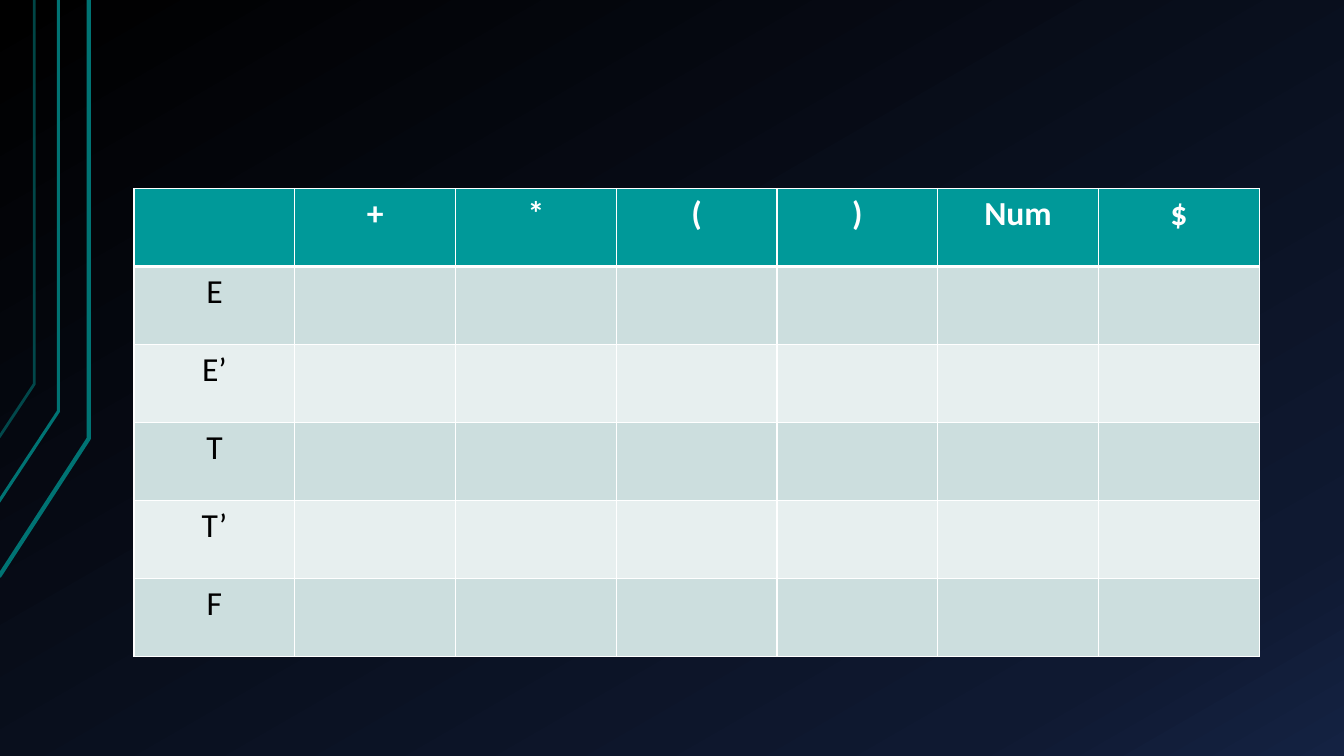
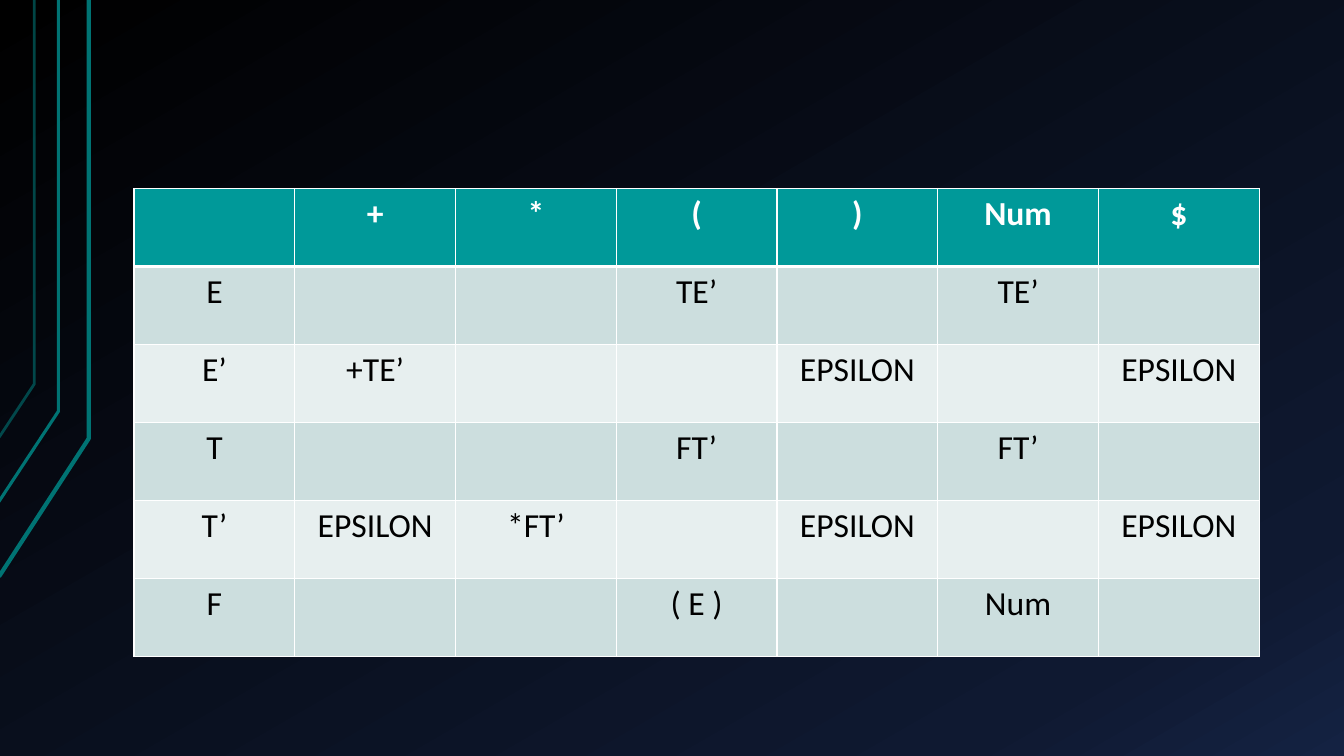
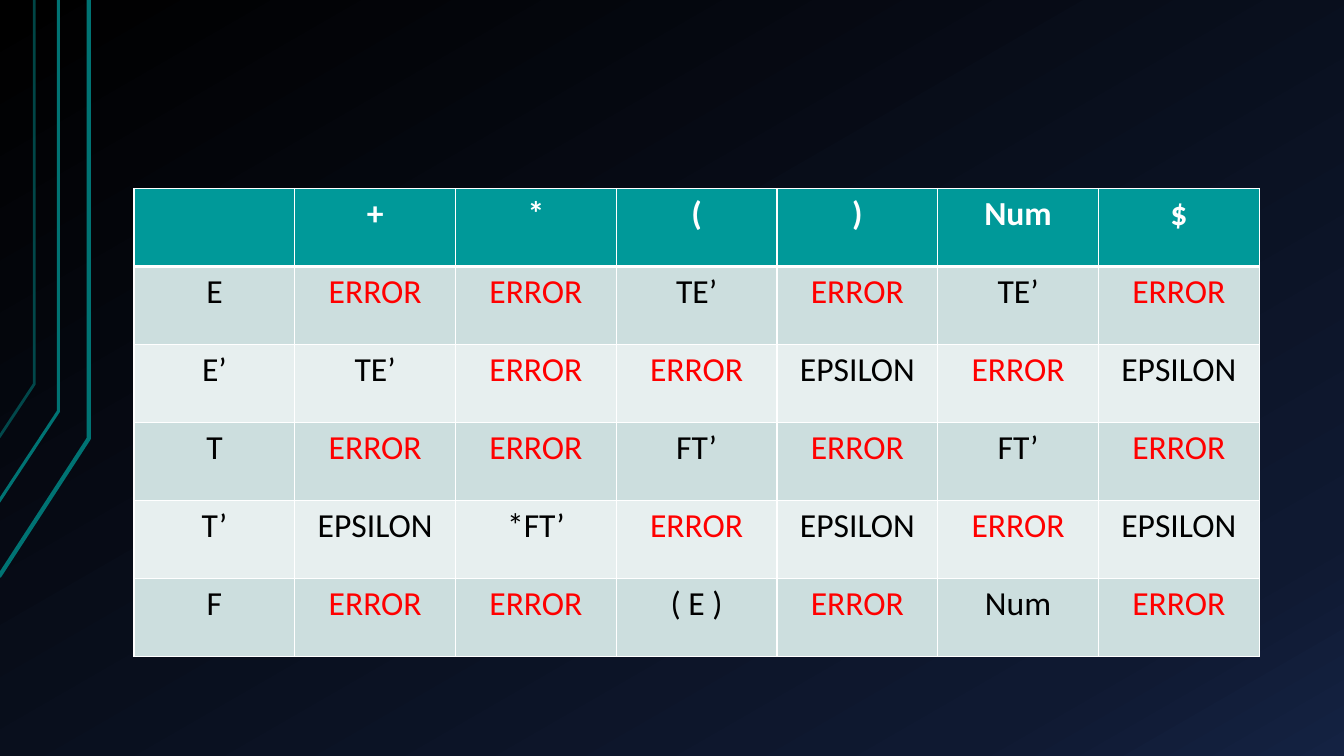
from copy import deepcopy
from dataclasses import dataclass

from lxml import etree
from pptx import Presentation
from pptx.dml.color import RGBColor
from pptx.enum.text import PP_ALIGN
from pptx.oxml.ns import qn
from pptx.util import Inches, Pt

CENTER = PP_ALIGN.CENTER
BLANK_LAYOUT = 6


@dataclass(frozen=True)
class Theme:
    font: str = "Calibri"
    text_size: int = 24
    text: str = "000000"
    header_text: str = "FFFFFF"
    error_text: str = "FF0000"
    header_fill: str = "009999"
    row_fills: tuple = ("CCDEDE", "E7EFEF")
    border: str = "FFFFFF"
    thin: int = 1
    thick: int = 3
    circuit: str = "007373"
    # Position in percent and colour of each background stop
    background: tuple = ((0, "000000"), (85, "0F1931"), (100, "142242"))
    background_angle: int = 300


THEME = Theme()

# Points in inches, line width in points, opacity in percent
CIRCUIT_LINES = (
    (((-0.01, 5.72), (0.88, 4.35), (0.88, 0)), 3, 100),
    (((-0.02, 4.99), (0.58, 4.08), (0.58, 0)), 2.25, 100),
    (((-0.01, 4.34), (0.34, 3.81), (0.34, 0)), 2, 60),
)

TABLE_BOX = (1.33, 1.87, 11.16, 4.64)
ERROR = "ERROR"
TERMINALS = ("+", "*", "(", ")", "Num", "$")
NONTERMINALS = ("E", "E’", "T", "T’", "F")
PRODUCTIONS = {
    ("E", "("): "TE’",
    ("E", "Num"): "TE’",
    ("E’", "+"): "+TE’",
    ("E’", ")"): "EPSILON",
    ("E’", "$"): "EPSILON",
    ("T", "("): "FT’",
    ("T", "Num"): "FT’",
    ("T’", "+"): "EPSILON",
    ("T’", "*"): "*FT’",
    ("T’", ")"): "EPSILON",
    ("T’", "$"): "EPSILON",
    ("F", "("): "( E )",
    ("F", "Num"): "Num",
}


def rgb(value):
    return RGBColor.from_string(value)


# Shared layout: background and circuit lines
def set_background(layout):
    fill = layout.background.fill
    fill.gradient()
    fill.gradient_angle = THEME.background_angle
    stop_list = layout.element.xpath(".//p:bg//a:gsLst")[0]
    stop_list.insert(1, deepcopy(stop_list[0]))
    for stop, (position, color) in zip(fill.gradient_stops, THEME.background):
        stop.position = position / 100
        stop.color.rgb = rgb(color)


def add_circuit_line(slide, points, width, opacity):
    start, *others = [(Inches(x), Inches(y)) for x, y in points]
    builder = slide.shapes.build_freeform(*start)
    builder.add_line_segments(others, close=False)
    shape = builder.convert_to_shape()
    shape.shadow.inherit = False
    shape.fill.background()
    shape.line.width = Pt(width)
    shape.line.color.rgb = rgb(THEME.circuit)
    if opacity < 100:
        color = shape.element.xpath(".//a:ln//a:srgbClr")[0]
        etree.SubElement(color, qn("a:alpha"), val=str(opacity * 1000))
    return shape


def decorate_layout(layout, slide):
    """Draw the lines on a slide, then move them to the layout all slides share."""
    for placeholder in list(layout.placeholders):
        placeholder.element.getparent().remove(placeholder.element)
    set_background(layout)
    lines = [add_circuit_line(slide, *line) for line in CIRCUIT_LINES]
    for line in lines:
        layout.shapes.element.append(line.element)


# Parsing table
def set_borders(cell, top, bottom):
    properties = cell._tc.get_or_add_tcPr()
    widths = {"lnL": THEME.thin, "lnR": THEME.thin, "lnT": top, "lnB": bottom}
    for side, width in widths.items():
        line = etree.SubElement(properties, qn(f"a:{side}"), w=str(Pt(width)))
        fill = etree.SubElement(line, qn("a:solidFill"))
        etree.SubElement(fill, qn("a:srgbClr"), val=THEME.border)


def write_cell(cell, text, color, bold):
    paragraph = cell.text_frame.paragraphs[0]
    paragraph.alignment = CENTER
    if not text:
        return
    run = paragraph.add_run()
    run.text = text
    run.font.name = THEME.font
    run.font.size = Pt(THEME.text_size)
    run.font.bold = bold
    run.font.color.rgb = rgb(color)


def format_cell(cell, row_index, text):
    is_header = row_index == 0
    set_borders(
        cell,
        top=THEME.thick if row_index == 1 else THEME.thin,
        bottom=THEME.thick if is_header else THEME.thin,
    )
    cell.fill.solid()
    if is_header:
        fill, color = THEME.header_fill, THEME.header_text
    else:
        fill = THEME.row_fills[(row_index - 1) % 2]
        color = THEME.error_text if text == ERROR else THEME.text
    cell.fill.fore_color.rgb = rgb(fill)
    write_cell(cell, text, color, is_header)


def add_parsing_table(slide, productions, missing=""):
    rows = [("", *TERMINALS)]
    for nonterminal in NONTERMINALS:
        entries = [productions.get((nonterminal, terminal), missing)
                   for terminal in TERMINALS]
        rows.append((nonterminal, *entries))

    box = [Inches(length) for length in TABLE_BOX]
    table = slide.shapes.add_table(len(rows), len(rows[0]), *box).table
    table.horz_banding = False
    for row_index, texts in enumerate(rows):
        for column_index, text in enumerate(texts):
            format_cell(table.cell(row_index, column_index), row_index, text)


def main():
    presentation = Presentation()
    presentation.slide_width = Inches(13.33)
    presentation.slide_height = Inches(7.5)
    layout = presentation.slide_layouts[BLANK_LAYOUT]

    empty, filled, complete = [presentation.slides.add_slide(layout)
                               for _ in range(3)]
    decorate_layout(layout, empty)

    add_parsing_table(empty, {})
    add_parsing_table(filled, PRODUCTIONS)
    add_parsing_table(complete, {**PRODUCTIONS, ("E’", "+"): "TE’"}, missing=ERROR)

    presentation.save("out.pptx")


if __name__ == "__main__":
    main()
